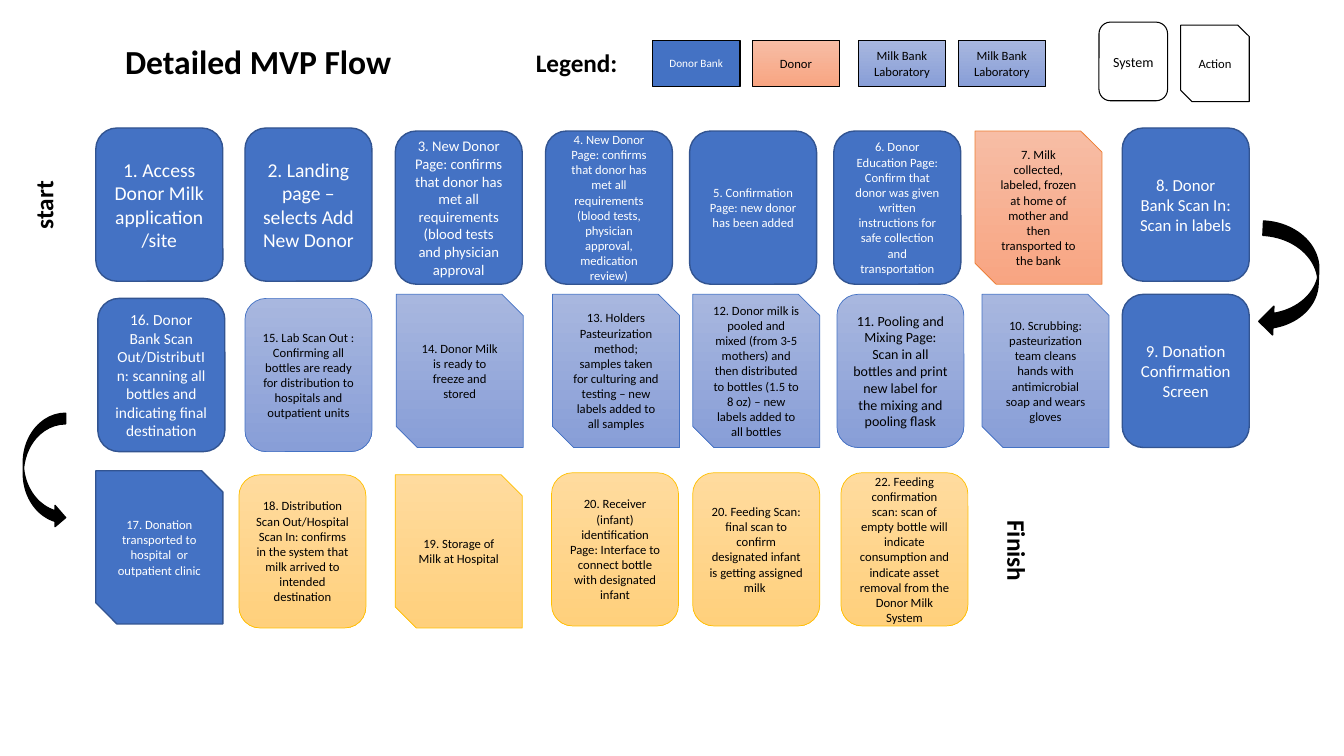
from dataclasses import dataclass

from pptx import Presentation
from pptx.dml.color import RGBColor
from pptx.enum.shapes import MSO_SHAPE as Shp
from pptx.enum.text import MSO_ANCHOR as Anchor, PP_ALIGN as Align
from pptx.util import Inches, Pt

PAGE_W, PAGE_H = Inches(13.33), Inches(7.5)


@dataclass(frozen=True)
class Look:
    fills: tuple[str, ...]  # none: hollow, one: solid, two: downward gradient
    line: str
    line_pt: float
    text: str


@dataclass(frozen=True)
class Theme:
    font: str = "Calibri"
    ink: str = "000000"
    title: float = 24
    label: float = 18
    small: float = 9
    bank: Look = Look(("4472C4",), "325491", 1, "FFFFFF")
    donor: Look = Look(("F7BDA5", "F8A582"), "ED7D31", 0.5, "000000")
    lab: Look = Look(("A8B7DF", "889ED7"), "4472C4", 0.5, "000000")
    hospital: Look = Look(("FFDB9E", "FFD07C"), "FFC000", 0.5, "000000")
    hollow: Look = Look((), "000000", 0.75, "000000")
    arrow: Look = Look(("000000",), "000000", 1, "000000")


T = Theme()


@dataclass(frozen=True)
class Area:
    """Left, top, width and height in percent of the slide's size."""
    x: float
    y: float
    w: float
    h: float

    def emu(self) -> tuple[int, int, int, int]:
        return (int(PAGE_W * self.x / 100), int(PAGE_H * self.y / 100),
                int(PAGE_W * self.w / 100), int(PAGE_H * self.h / 100))


@dataclass(frozen=True)
class Step:
    x: float
    y: float
    text: str
    look: Look
    size: float = T.small
    kind: Shp = Shp.ROUNDED_RECTANGLE


@dataclass(frozen=True)
class Key:
    area: Area
    text: str
    look: Look
    line_pt: float
    size: float = T.small
    kind: Shp = Shp.RECTANGLE


@dataclass(frozen=True)
class Label:
    area: Area
    text: str
    vertical: bool = False
    turn: float = 0


SYSTEM, ACTION = Shp.ROUNDED_RECTANGLE, Shp.SNIP_2_DIAG_RECTANGLE
STEP_W, STEP_H = 9.45, 20.27
KEY_Y, KEY_W, KEY_H = 5.33, 6.53, 6.13

KEYS = [
    Key(Area(87.85, 3.33, 5.1, 10.13), "Action", T.hollow, 0.75, kind=ACTION),
    Key(Area(48.54, KEY_Y, KEY_W, KEY_H), "Donor Bank", T.bank, 1, 8),
    Key(Area(55.96, KEY_Y, KEY_W, KEY_H), "Donor", T.donor, 0.5),
    Key(Area(63.84, KEY_Y, KEY_W, KEY_H), "Milk Bank Laboratory", T.lab, 0.5),
    Key(Area(71.27, KEY_Y, KEY_W, KEY_H), "Milk Bank Laboratory", T.lab, 0.5),
    Key(Area(81.77, 2.93, 5.1, 10.4), "System", T.hollow, 0.75, 10, SYSTEM),
]

STEPS = [
    # First row, left to right
    Step(7.13, 16.93, "1. Access Donor Milk application/site", T.bank, 14),
    Step(18.23, 16.93, "2. Landing page – selects Add New Donor", T.bank, 14),
    Step(29.41, 17.33, "3. New Donor Page: confirms that donor has met all "
         "requirements (blood tests and physician approval", T.bank, 10.5),
    Step(40.59, 17.33, "4. New Donor Page: confirms that donor has met all requirements "
         "(blood tests, physician approval, medication review)", T.bank),
    Step(51.31, 17.33, "5. Confirmation Page: new donor has been added", T.bank),
    Step(62.04, 17.33, "6. Donor Education Page: Confirm that donor was given written "
         "instructions for safe collection and transportation", T.bank),
    Step(72.54, 17.33, "7. Milk collected, labeled, frozen at home of mother and then "
         "transported to the bank", T.donor, kind=ACTION),
    Step(83.5, 16.93, "8. Donor Bank Scan In: Scan in labels ", T.bank, 12),
    # Second row, right to left
    Step(83.5, 38.93, "9. Donation Confirmation Screen", T.bank, 12),
    Step(73.07, 38.93, "10. Scrubbing: pasteurization team cleans hands with "
         "antimicrobial soap and wears gloves", T.lab, kind=ACTION),
    Step(62.27, 38.93, "11. Pooling and Mixing Page: Scan in all bottles and print "
         "new label for the mixing and pooling flask", T.lab, 10),
    Step(51.54, 38.93, "12. Donor milk is pooled and mixed (from 3-5 mothers) and then "
         "distributed to bottles (1.5 to 8 oz) – new labels added to all bottles",
         T.lab, kind=ACTION),
    Step(41.11, 38.93, "13. Holders Pasteurization method; samples taken for culturing "
         "and testing – new labels added to all samples", T.lab, kind=ACTION),
    Step(29.48, 38.93, "14. Donor Milk is ready to freeze and stored", T.lab, kind=ACTION),
    Step(18.23, 39.47, "15. Lab Scan Out : Confirming all bottles are ready for "
         "distribution to hospitals and outpatient units", T.lab),
    Step(7.28, 39.47, "16. Donor Bank Scan Out/DistributIn: scanning all bottles and "
         "indicating final destination", T.bank, 11),
    # Third row, left to right
    Step(7.13, 62.27, "17. Donation transported to hospital  or outpatient clinic",
         T.bank, kind=ACTION),
    Step(17.78, 62.8, "18. Distribution Scan Out/Hospital Scan In: confirms in the "
         "system that milk arrived to intended destination", T.hospital),
    Step(29.41, 62.8, "19. Storage of Milk at Hospital", T.hospital, kind=ACTION),
    Step(41.04, 62.53, "20. Receiver (infant) identification Page: Interface to "
         "connect bottle with designated infant", T.hospital),
    Step(51.54, 62.53, "20. Feeding Scan: final scan to confirm designated infant is "
         "getting assigned milk ", T.hospital),
    Step(62.57, 62.53, "22. Feeding confirmation scan: scan of empty bottle will indicate "
         "consumption and indicate asset removal from the Donor Milk System", T.hospital),
]

ARROWS = [
    (Shp.CURVED_DOWN_ARROW, Area(91.67, 33.2, 8.55, 7.6), 92.7),
    (Shp.CURVED_RIGHT_ARROW, Area(1.73, 54.67, 3.15, 15.2), 0),
]

LABELS = [
    Label(Area(1.73, 20.4, 3.75, 13.47), "start", vertical=True),
    Label(Area(73.44, 66.13, 3.75, 13.47), "Finish", vertical=True, turn=180),
    Label(Area(37.13, 5.6, 11.55, 5.33), "Legend:"),
]


def rgb(code: str) -> RGBColor:
    return RGBColor.from_string(code)


def write(sp, text: str, size: float, color: str, bold: bool = False,
          align: Align = Align.CENTER, anchor: Anchor = Anchor.MIDDLE) -> None:
    tf = sp.text_frame
    tf.word_wrap, tf.vertical_anchor = True, anchor
    p = tf.paragraphs[0]
    p.text, p.alignment = text, align
    p.font.name, p.font.size, p.font.bold = T.font, Pt(size), bold
    p.font.color.rgb = rgb(color)


def add_figure(s, kind: Shp, area: Area, look: Look, line: str, line_pt: float):
    sp = s.shapes.add_shape(kind, *area.emu())
    sp.shadow.inherit = False
    if not look.fills:
        sp.fill.background()
    elif len(look.fills) == 1:
        sp.fill.solid()
        sp.fill.fore_color.rgb = rgb(look.fills[0])
    else:
        sp.fill.gradient()
        sp.fill.gradient_angle = 270
        for stop, color in zip(sp.fill.gradient_stops, look.fills):
            stop.color.rgb = rgb(color)
    sp.line.color.rgb, sp.line.width = rgb(line), Pt(line_pt)
    return sp


def add_label(s, label: Label) -> None:
    sp = s.shapes.add_textbox(*label.area.emu())
    sp.rotation = label.turn
    write(sp, label.text, T.label, T.ink, bold=True, anchor=Anchor.TOP)
    if label.vertical:
        sp.text_frame._txBody.bodyPr.set("vert", "vert270")


def main() -> None:
    prs = Presentation()
    prs.slide_width, prs.slide_height = PAGE_W, PAGE_H
    s = prs.slides.add_slide(prs.slide_layouts[5])

    # Title
    title = s.shapes.title
    title.left, title.top, title.width, title.height = Area(8.55, 4.8, 25.96, 6.67).emu()
    write(title, "Detailed MVP Flow", T.title, T.ink, bold=True, align=Align.LEFT)

    # Legend
    for key in KEYS:
        sp = add_figure(s, key.kind, key.area, key.look, T.ink, key.line_pt)
        write(sp, key.text, key.size, key.look.text)

    # Flow steps
    for step in STEPS:
        area = Area(step.x, step.y, STEP_W, STEP_H)
        sp = add_figure(s, step.kind, area, step.look, step.look.line, step.look.line_pt)
        write(sp, step.text, step.size, step.look.text)

    # Turns between rows, then the labels
    for kind, area, turn in ARROWS:
        add_figure(s, kind, area, T.arrow, T.arrow.line, T.arrow.line_pt).rotation = turn
    for label in LABELS:
        add_label(s, label)

    prs.save("out.pptx")


if __name__ == "__main__":
    main()
